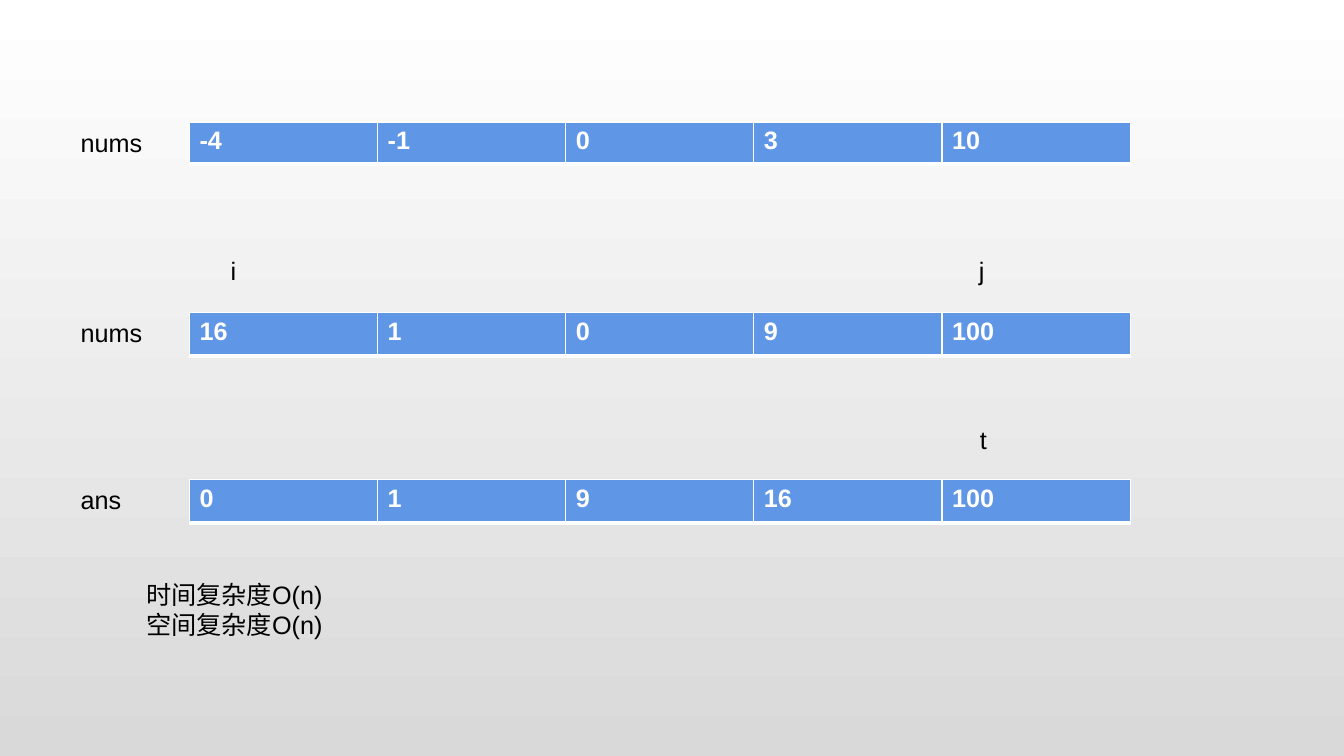
"""Build a slide on squaring a sorted array with two pointers."""
from lxml.etree import SubElement
from pptx import Presentation
from pptx.dml.color import RGBColor
from pptx.enum.text import MSO_AUTO_SIZE
from pptx.oxml.ns import qn
from pptx.util import Inches, Pt

WHITE = RGBColor(0xFF, 0xFF, 0xFF)
GREY = RGBColor(0xD9, 0xD9, 0xD9)
BLUE = RGBColor(0x60, 0x96, 0xE6)
BLACK = RGBColor(0x00, 0x00, 0x00)
BORDERS = {"a:lnL": 1, "a:lnR": 1, "a:lnT": 1, "a:lnB": 3}

ARRAYS = [
    ("nums", 1.21, 0.42, ["-4", "-1", "0", "3", "10"]),
    ("nums", 3.1, 0.43, ["16", "1", "0", "9", "100"]),
    ("ans", 4.76, 0.43, ["0", "1", "9", "16", "100"]),
]
POINTERS = [("i", 2.19, 2.48), ("j", 9.61, 2.48), ("t", 9.62, 4.16)]
COMPLEXITY = ["时间复杂度O(n)", "空间复杂度O(n)"]


def style_font(para, color, bold=False):
    para.font.name = "Arial"
    para.font.size = Pt(18)
    para.font.bold = bold
    para.font.color.rgb = color


def add_text(lines, left, top, width, height=0.4):
    box = page.shapes.add_textbox(Inches(left), Inches(top), Inches(width), Inches(height))
    frame = box.text_frame
    frame.word_wrap = True
    frame.auto_size = MSO_AUTO_SIZE.SHAPE_TO_FIT_TEXT
    frame.text = "\n".join(lines)
    for para in frame.paragraphs:
        style_font(para, BLACK)


deck = Presentation()
deck.slide_width = Inches(13.33)
deck.slide_height = Inches(7.5)
page = deck.slides.add_slide(deck.slide_layouts[6])

backdrop = page.background.fill
backdrop.gradient()
backdrop.gradient_angle = 270
for stop, color, position in zip(backdrop.gradient_stops, (WHITE, GREY), (0, 1)):
    stop.color.rgb = color
    stop.position = position

for name, top, height, values in ARRAYS:
    add_text([name], 0.7, top, 0.95)
    table = page.shapes.add_table(
        1, len(values), Inches(1.88), Inches(top), Inches(9.33), Inches(height)
    ).table
    for cell, value in zip(table.iter_cells(), values):
        cell.text = value
        style_font(cell.text_frame.paragraphs[0], WHITE, bold=True)
        properties = cell._tc.get_or_add_tcPr()
        for tag, points in BORDERS.items():
            line = SubElement(properties, qn(tag), w=str(Pt(points)))
            solid = SubElement(line, qn("a:solidFill"))
            SubElement(solid, qn("a:srgbClr"), val=str(WHITE))
        cell.fill.solid()
        cell.fill.fore_color.rgb = BLUE

for name, left, top in POINTERS:
    add_text([name], left, top, 0.89)

add_text(COMPLEXITY, 1.35, 5.7, 9.61, 0.71)

deck.save("out.pptx")
